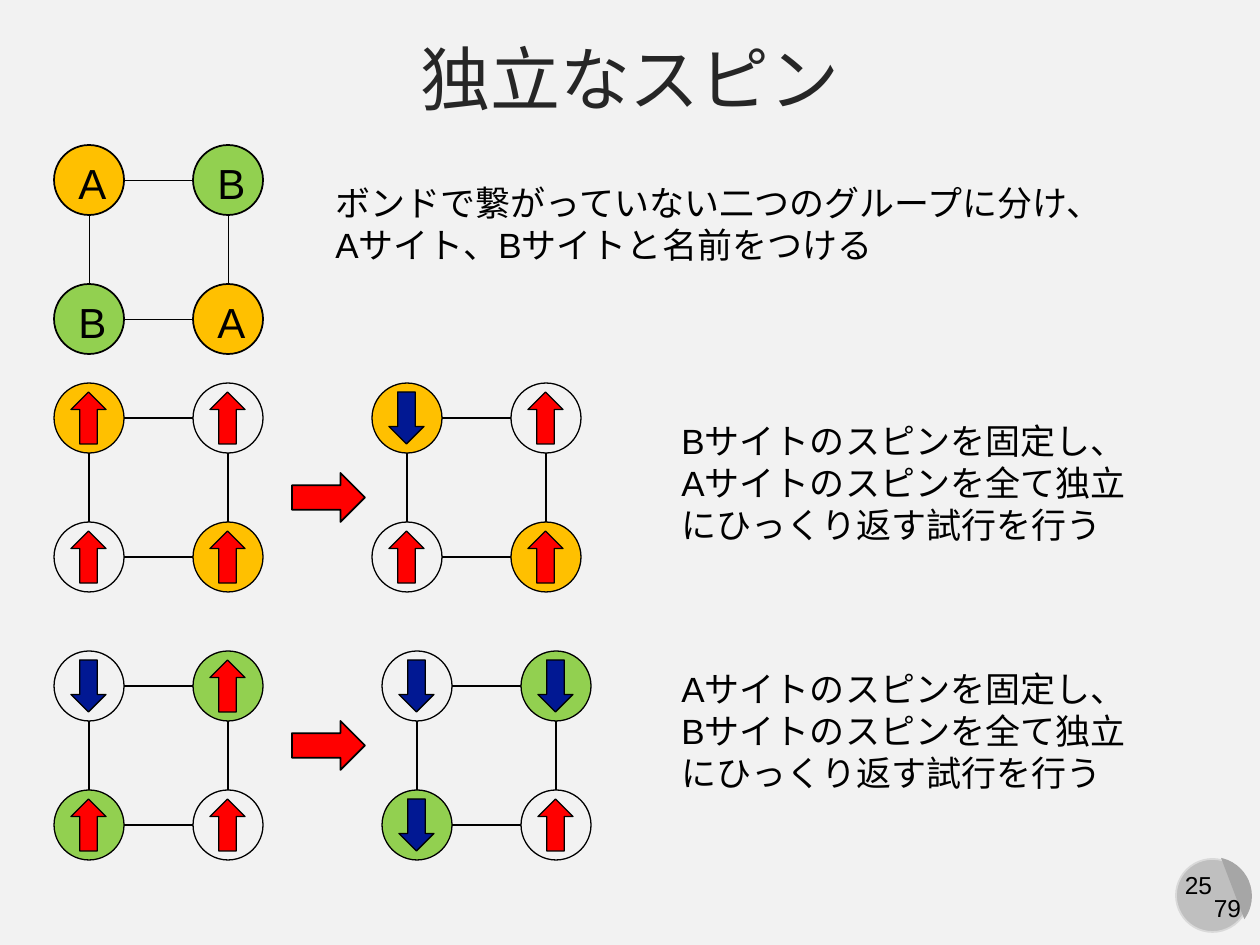
from pptx import Presentation
from pptx.dml.color import RGBColor
from pptx.enum.shapes import MSO_CONNECTOR, MSO_SHAPE
from pptx.enum.text import MSO_ANCHOR, MSO_AUTO_SIZE, PP_ALIGN
from pptx.oxml.ns import qn
from pptx.util import Emu, Pt
from lxml.etree import SubElement

GOLD, GREEN, RED, BLUE, BLACK = "FFC000", "92D050", "FF0000", "011893", "000000"
SITE, STEP = 70, 139


def px(*nums):
    return [Emu(round(n * 914400 / 126)) for n in nums]


def color(code):
    return RGBColor.from_string(code)


class Deck:
    def __init__(self):
        self.file = Presentation()
        self.file.slide_width, self.file.slide_height = px(1260, 945)
        self.slide = self.file.slides.add_slide(self.file.slide_layouts[5])
        self.pen = self.slide.shapes
        back = self.slide.background.fill
        back.solid()
        back.fore_color.rgb = color("F2F2F2")

    def style(self, para, size, ink=BLACK, align=PP_ALIGN.LEFT):
        para.alignment = align
        para.font.name = "Arial"
        para.font.size = Pt(size)
        para.font.color.rgb = color(ink)

    def title(self, words, *box):
        shape = self.slide.shapes.title
        shape.left, shape.top, shape.width, shape.height = px(*box)
        frame = shape.text_frame
        frame.text = words
        frame.vertical_anchor = MSO_ANCHOR.MIDDLE
        para = frame.paragraphs[0]
        self.style(para, 40, "262626", PP_ALIGN.CENTER)
        para.space_before = Pt(10)

    def text(self, words, *box, size=20, wrap=False, align=PP_ALIGN.LEFT):
        frame = self.pen.add_textbox(*px(*box)).text_frame
        frame.text = words
        frame.word_wrap = wrap
        frame.auto_size = MSO_AUTO_SIZE.SHAPE_TO_FIT_TEXT
        for para in frame.paragraphs:
            self.style(para, size, align=align)

    def shape(self, kind, *box, fill=None, line=BLACK, width=0.75, turn=0):
        shape = self.pen.add_shape(kind, *px(*box))
        shape.shadow.inherit = False
        shape.rotation = turn
        if fill:
            shape.fill.solid()
            shape.fill.fore_color.rgb = color(fill)
        else:
            shape.fill.background()
        if line:
            shape.line.color.rgb = color(line)
            shape.line.width = Pt(width)
        else:
            shape.line.fill.background()
        return shape

    def bond(self, *ends, width):
        line = self.pen.add_connector(MSO_CONNECTOR.STRAIGHT, *px(*ends))
        line.line.color.rgb = color(BLACK)
        line.line.width = Pt(width)
        SubElement(line._element.spPr, qn("a:effectLst"))

    def spin(self, mark, x, y):
        fill, turn = (RED, 180) if mark == "↑" else (BLUE, 0)
        self.shape(MSO_SHAPE.DOWN_ARROW, x + 17, y + 9, 35, 52, fill=fill, turn=turn)

    def grid(self, left, top, fills, marks, thin=0.75, edge=0.75):
        self.pen = self.slide.shapes.add_group_shape().shapes
        half = SITE // 2
        for i in range(2):
            x, y = left + half + i * STEP, top + half + i * STEP
            self.bond(x, top + SITE, x, top + STEP, width=thin)
            self.bond(left + SITE, y, left + STEP, y, width=thin)
        for i, (fill, mark) in enumerate(zip(fills, marks)):
            x, y = left + i % 2 * STEP, top + i // 2 * STEP
            self.shape(MSO_SHAPE.OVAL, x, y, SITE, SITE, fill=fill, width=edge)
            if mark in "AB":
                self.text(mark, x + 12, y + 6, 49, 58, size=24)
            else:
                self.spin(mark, x, y)
        self.pen = self.slide.shapes

    def page(self, now, total):
        self.shape(MSO_SHAPE.OVAL, 1176, 859, 73, 73, fill="BFBFBF", line="D9D9D9", width=1)
        chord = self.shape(MSO_SHAPE.CHORD, 1174, 857, 78, 78, fill="A6A6A6", line=None, turn=255)
        chord.adjustments[0] = 16.2
        chord.adjustments[1] = 84.85
        self.text(now, 1171, 864, 55, 43, size=14, align=PP_ALIGN.CENTER)
        self.text(total, 1201, 887, 53, 43, size=14, align=PP_ALIGN.CENTER)


def main():
    deck = Deck()
    deck.page("25", "79")
    deck.title("独立なスピン", 0, 26, 1260, 103)
    deck.text("ボンドで繋がっていない二つのグループに分け、\nAサイト、Bサイトと名前をつける", 323, 175, 803, 97)
    deck.grid(54, 145, (GOLD, GREEN, GREEN, GOLD), "ABBA", thin=0.5, edge=1)

    gold = (GOLD, None, None, GOLD)
    green = (None, GREEN, GREEN, None)
    rows = (
        (383, 413, 473, gold, "↑↑↑↑", 372, "↓↑↑↑", "B", "A"),
        (651, 661, 721, green, "↓↑↑↑", 382, "↓↓↓↑", "A", "B"),
    )
    for top, note, arrow, fills, old, left, new, fixed, free in rows:
        deck.grid(54, top, fills, old)
        deck.grid(left, top, fills, new)
        deck.shape(MSO_SHAPE.RIGHT_ARROW, 292, arrow, 73, 49, fill=RED, width=1)
        words = f"{fixed}サイトのスピンを固定し、{free}サイトのスピンを全て独立にひっくり返す試行を行う"
        deck.text(words, 669, note, 486, 139, wrap=True)
    deck.file.save("out.pptx")


if __name__ == "__main__":
    main()
